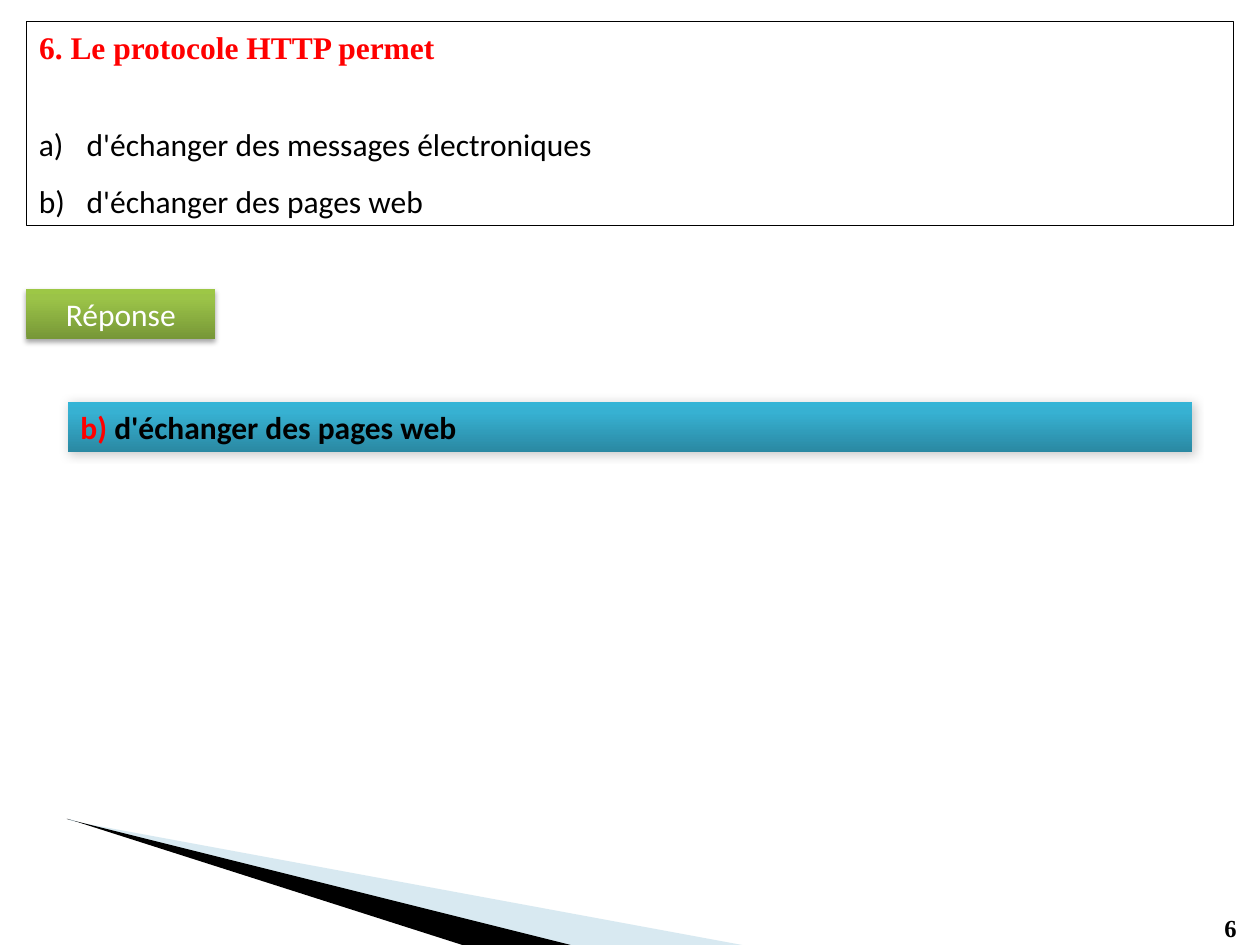
from copy import deepcopy
from lxml.etree import SubElement
from pptx import Presentation
from pptx.dml.color import RGBColor
from pptx.enum.shapes import MSO_SHAPE
from pptx.enum.text import MSO_ANCHOR, PP_ALIGN
from pptx.oxml.ns import qn
from pptx.util import Inches, Pt

THEME = {
    "ink": "000000", "mark": "FF0000", "light": "FFFFFF", "pale": "9FCADC",
    "green": [(0, "779737"), (80, "9BC348"), (100, "9DC746")],
    "blue": [(0, "2A88A2"), (80, "37B1D2"), (100, "34B4D6")],
    "serif": "Times New Roman", "sans": "Calibri",
    "body": 18, "small": 14,
}

TITLE = "6. Le protocole HTTP permet"
CHOICES = ["d'échanger des messages électroniques", "d'échanger des pages web"]
NUMBER = "6"
BARS = [
    {"at": (0.21, 2.29, 1.5, 0.4), "fill": "green", "shade": (35, 3.1, 1.8, 90),
     "align": PP_ALIGN.CENTER, "bold": False, "runs": [("Réponse", "light")]},
    {"at": (0.54, 3.19, 8.92, 0.4), "fill": "blue", "shade": (20, 6, 1, 45),
     "align": PP_ALIGN.JUSTIFY, "bold": True,
     "runs": [("b) ", "mark"), (CHOICES[1], "ink")]},
]
WEDGES = [
    ("pale", 40, [[(0.64, 6.53), (4.51, 7.5), (5.89, 7.5)],
                  [(0.55, 6.5), (0.55, 6.51), (0.64, 6.53)]]),
    ("ink", 100, [[(0.53, 6.5), (0.54, 6.5), (3.67, 7.5), (4.53, 7.5)]]),
]


def color(name):
    return RGBColor.from_string(THEME[name])


def box(at):
    return [Inches(n) for n in at]


def style(font, face, tint, bold=False, size="body"):
    font.name, font.size, font.bold = THEME[face], Pt(THEME[size]), bold
    font.color.rgb = color(tint)


def fade(node, alpha):
    SubElement(node, qn("a:alpha"), val=str(alpha * 1000))


def wedge(slide, tint, alpha, loops):
    first, *rest = loops
    pen = slide.shapes.build_freeform(*box(first[0]), scale=1.0)
    pen.add_line_segments([box(p) for p in first[1:]], close=True)
    for loop in rest:
        pen.move_to(*box(loop[0]))
        pen.add_line_segments([box(p) for p in loop[1:]], close=True)
    shape = pen.convert_to_shape()
    shape.fill.solid()
    shape.fill.fore_color.rgb = color(tint)
    fade(shape._element.spPr.find(".//" + qn("a:srgbClr")), alpha)
    shape.line.fill.background()
    shape.shadow.inherit = False


def blend(shape, stops):
    shape.fill.gradient()
    shape.fill.gradient_angle = 90
    group = shape._element.spPr.find(".//" + qn("a:gsLst"))
    group.append(deepcopy(group[-1]))
    for stop, (place, tint) in zip(shape.fill.gradient_stops, stops):
        stop.position = place / 100
        stop.color.rgb = RGBColor.from_string(tint)


def shade(shape, alpha, blur, dist, angle):
    shape.shadow.inherit = False
    effect = shape._element.spPr.find(qn("a:effectLst"))
    outer = SubElement(effect, qn("a:outerShdw"), blurRad=str(Pt(blur)),
                       dist=str(Pt(dist)), dir=str(angle * 60000), rotWithShape="0")
    tint = SubElement(outer, qn("a:srgbClr"), val=THEME["ink"])
    fade(tint, alpha)


def bar(slide, data):
    shape = slide.shapes.add_shape(MSO_SHAPE.RECTANGLE, *box(data["at"]))
    blend(shape, THEME[data["fill"]])
    shape.line.fill.background()
    shade(shape, *data["shade"])
    para = shape.text_frame.paragraphs[0]
    para.alignment = data["align"]
    for text, tint in data["runs"]:
        run = para.add_run()
        run.text = text
        style(run.font, "sans", tint, data["bold"])


def question(slide):
    title = slide.shapes.title
    title.left, title.top, title.width, title.height = box((0.21, 0.17, 9.58, 0.4))
    title.text = TITLE
    title.text_frame.vertical_anchor = MSO_ANCHOR.TOP
    para = title.text_frame.paragraphs[0]
    para.alignment = PP_ALIGN.LEFT
    style(para.font, "serif", "mark", True)

    frame = slide.shapes.add_shape(MSO_SHAPE.RECTANGLE, *box((0.21, 0.17, 9.58, 1.62)))
    frame.fill.background()
    frame.line.color.rgb = color("ink")
    frame.line.width = Pt(0.75)
    frame.shadow.inherit = False
    text = frame.text_frame
    text.vertical_anchor = MSO_ANCHOR.BOTTOM
    for i, choice in enumerate(CHOICES):
        para = text.add_paragraph() if i else text.paragraphs[0]
        para.text = choice
        para.alignment = PP_ALIGN.LEFT
        para.line_spacing = 1.5
        props = para._p.get_or_add_pPr()
        props.set("marL", str(Inches(0.38)))
        props.set("indent", str(Inches(-0.38)))
        SubElement(props, qn("a:buFont"), typeface="+mj-lt")
        SubElement(props, qn("a:buAutoNum"), type="alphaLcParenR")
        style(para.font, "sans", "ink")


def folio(slide):
    label = slide.shapes.add_textbox(*box((9.62, 7.2, 0.36, 0.34)))
    label.text_frame.word_wrap = True
    para = label.text_frame.paragraphs[0]
    para.text = NUMBER
    style(para.font, "serif", "ink", True, "small")


def main():
    deck = Presentation()
    deck.slide_width, deck.slide_height = Inches(10), Inches(7.5)
    slide = deck.slides.add_slide(deck.slide_layouts[5])
    for item in WEDGES:
        wedge(slide, *item)
    folio(slide)
    question(slide)
    for data in BARS:
        bar(slide, data)
    deck.save("out.pptx")


if __name__ == "__main__":
    main()
